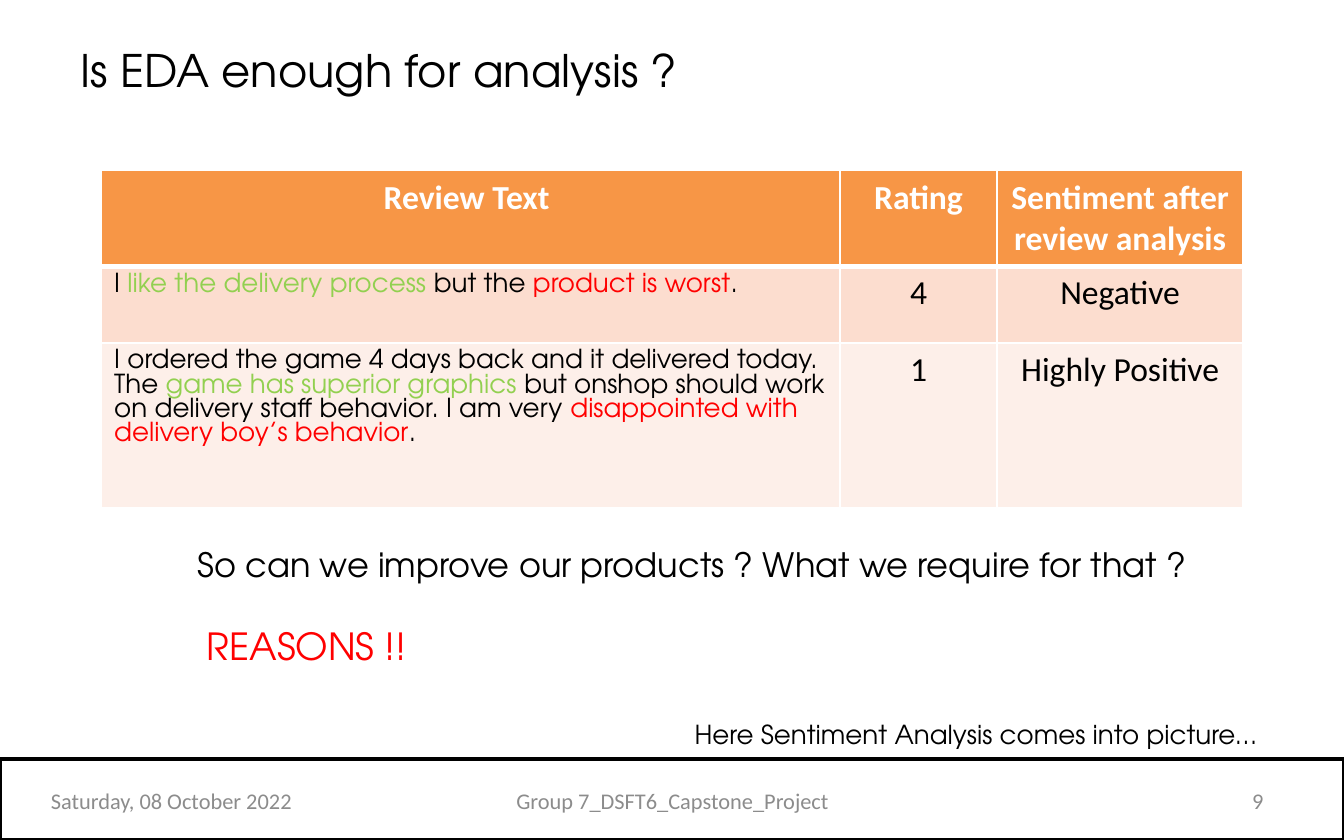
from lxml.etree import SubElement
from pptx import Presentation
from pptx.dml.color import RGBColor
from pptx.enum.shapes import MSO_SHAPE
from pptx.enum.text import MSO_ANCHOR, PP_ALIGN
from pptx.oxml.ns import qn
from pptx.util import Inches, Pt

COLORS = {
    "black": "000000", "white": "FFFFFF", "gray": "8C8C8C",
    "good": "92D050", "bad": "FF0000",
    "header": "F79646", "band1": "FCDDCF", "band2": "FDEFE9",
}
HEAD_FONT, BODY_FONT = "TeX Gyre Adventor", "Calibri"
LEFT, CENTER, RIGHT = PP_ALIGN.LEFT, PP_ALIGN.CENTER, PP_ALIGN.RIGHT


def rgb(name):
    return RGBColor.from_string(COLORS[name])


class SlideBuilder:
    """Holds the slide being built and its shared style."""

    def __init__(self, prs):
        self.s = prs.slides.add_slide(prs.slide_layouts[5])

    def style_run(self, r, size, font, color, bold=False):
        r.font.size, r.font.name, r.font.bold = Pt(size), font, bold
        r.font.color.rgb = rgb(color)

    def fill_text(self, tf, text, size, font, color, align=LEFT):
        tf.text = text
        tf.word_wrap = True
        tf.vertical_anchor = MSO_ANCHOR.MIDDLE
        p = tf.paragraphs[0]
        p.alignment = align
        self.style_run(p.runs[0], size, font, color)

    def title(self, text, box):
        sp = self.s.shapes.title
        sp.left, sp.top, sp.width, sp.height = map(Inches, box)
        self.fill_text(sp.text_frame, text, 24, HEAD_FONT, "black")

    def text(self, text, box, size, font=HEAD_FONT, color="black", align=LEFT):
        sp = self.s.shapes.add_textbox(*map(Inches, box))
        self.fill_text(sp.text_frame, text, size, font, color, align)

    def frame(self, box):
        sp = self.s.shapes.add_shape(MSO_SHAPE.RECTANGLE, *map(Inches, box))
        sp.shadow.inherit = False
        sp.fill.background()
        sp.line.color.rgb = rgb("black")
        sp.line.width = Pt(2)

    def borders(self, cell, top=1, bottom=1):
        tcPr = cell._tc.get_or_add_tcPr()
        for side, width in (("L", 1), ("R", 1), ("T", top), ("B", bottom)):
            ln = SubElement(tcPr, qn(f"a:ln{side}"), w=str(Pt(width)))
            fill = SubElement(ln, qn("a:solidFill"))
            SubElement(fill, qn("a:srgbClr"), val=COLORS["white"])

    def review_text(self, p, parts):
        """Write a review whose praise and complaints are coloured."""
        p.line_spacing = Pt(13)
        for text, color in parts:
            r = p.add_run()
            r.text = text
            self.style_run(r, 14, HEAD_FONT, color)

    def table(self, box, widths, heights, rows):
        shape = self.s.shapes.add_table(len(rows), len(widths), *map(Inches, box))
        table = shape.table
        for col, width in zip(table.columns, widths):
            col.width = Inches(width)
        for row, height in zip(table.rows, heights):
            row.height = Inches(height)
        for i, values in enumerate(rows):
            for j, value in enumerate(values):
                cell = table.cell(i, j)
                self.borders(cell, 3 if i == 1 else 1, 3 if i == 0 else 1)
                cell.fill.solid()
                cell.fill.fore_color.rgb = rgb(("header", "band1", "band2")[i])
                p = cell.text_frame.paragraphs[0]
                if isinstance(value, list):
                    p.alignment = PP_ALIGN.JUSTIFY if i == 1 else LEFT
                    self.review_text(p, value)
                else:
                    p.text = value
                    p.alignment = CENTER
                    self.style_run(p.runs[0], 18, BODY_FONT,
                                   "black" if i else "white", bold=i == 0)


REVIEWS = [
    ["Review Text ", "Rating", "Sentiment after review analysis "],
    [[("I ", "black"), ("like the delivery process ", "good"),
      ("but the ", "black"), ("product is worst", "bad"), (". ", "black")],
     "4", "Negative"],
    [[("I ordered the game 4 days back and it delivered today. The ", "black"),
      ("game has superior graphics", "good"),
      (" but onshop should work on delivery staff behavior. I am very ", "black"),
      ("disappointed with delivery boy’s behavior", "bad"), (".", "black")],
     "1", "Highly Positive"],
]


def main():
    prs = Presentation()
    prs.slide_width, prs.slide_height = Inches(10), Inches(6.25)
    b = SlideBuilder(prs)

    b.title("Is EDA enough for analysis ?", (0.5, 0.07, 9.07, 0.9))
    b.table((0.75, 1.27, 8.5, 2.51), (5.5, 1.17, 1.83), (0.71, 0.57, 1.23), REVIEWS)

    b.text("So can we improve our products ? What we require for that ?",
           (1.37, 3.75, 8.63, 0.9), 18)
    b.text("Here Sentiment Analysis comes into picture…", (5.07, 5.01, 4.93, 0.9), 14)
    b.text("REASONS !!", (1.44, 4.35, 8.56, 0.9), 20, color="bad")

    for text, left, width, align in (
        ("Saturday, 08 October 2022", 0.28, 2.56, LEFT),
        ("Group 7_DSFT6_Capstone_Project", 3.42, 3.17, CENTER),
        ("9", 7.17, 2.33, RIGHT),
    ):
        b.text(text, (left, 5.79, width, 0.33), 12, BODY_FONT, "gray", align)
    b.frame((0, 5.65, 10, 0.6))

    prs.save("out.pptx")


if __name__ == "__main__":
    main()
